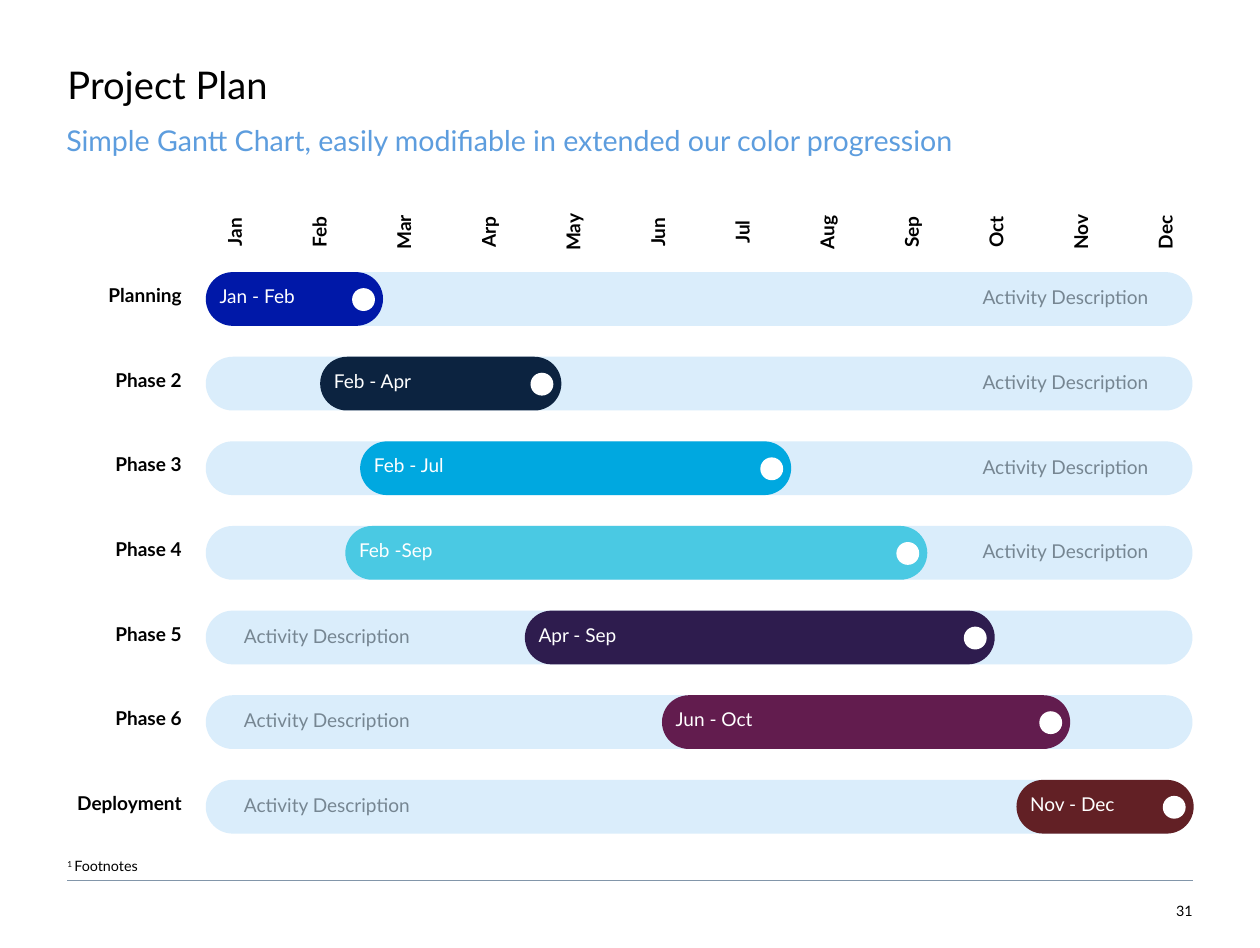
from pptx import Presentation
from pptx.dml.color import RGBColor
from pptx.enum.shapes import MSO_CONNECTOR as Connector, MSO_SHAPE as Shape
from pptx.enum.text import MSO_ANCHOR as Anchor, PP_ALIGN as Align
from pptx.oxml.xmlchemy import OxmlElement
from pptx.util import Inches, Pt

COLORS = {
    "text": "000000", "subtitle": "5D9DDE", "rule": "8296AA",
    "track": "DAEDFB", "description": "768692", "white": "FFFFFF",
    "blue": "0018A8", "navy": "0C2340", "sky": "00A8E0", "aqua": "4AC9E3",
    "violet": "2E1C4E", "plum": "621C4E", "maroon": "622025",
}
MONTHS = ["Jan", "Feb", "Mar", "Arp", "May", "Jun",
          "Jul", "Aug", "Sep", "Oct", "Nov", "Dec"]
# Phase, period, bar left, bar width, color, description left
PHASES = [
    ("Planning", "Jan - Feb", 1.8, 1.55, "blue", 8.29),
    ("Phase 2", "Feb - Apr", 2.8, 2.11, "navy", 8.29),
    ("Phase 3", "Feb - Jul", 3.15, 3.77, "sky", 8.29),
    ("Phase 4", "Feb -Sep", 3.02, 5.09, "aqua", 8.29),
    ("Phase 5", "Apr - Sep", 4.59, 4.11, "violet", 1.83),
    ("Phase 6", "Jun - Oct", 5.79, 3.57, "plum", 1.83),
    ("Deployment", "Nov - Dec", 8.89, 1.55, "maroon", 1.83),
]
TRACK_LEFT, TRACK_WIDTH, BAR_HEIGHT = 1.8, 8.63, 0.47
FIRST_ROW, PITCH = 2.38, 0.74
DOT = 0.2


class GanttSlide:
    """Holds the text style and the slide being built."""

    font_name = "Lato"

    def __init__(self, slide):
        self.slide = slide

    def color(self, name):
        return RGBColor.from_string(COLORS[name])

    def text(self, content, left, top, width, height, size=12, color="text",
             bold=False, align=Align.LEFT, anchor=Anchor.TOP, spacing=1.0,
             rotation=0, superscript=""):
        box = self.slide.shapes.add_textbox(
            Inches(left), Inches(top), Inches(width), Inches(height))
        box.rotation = rotation
        frame_format = {"word_wrap": True, "vertical_anchor": anchor,
                        "margin_left": 0, "margin_top": 0,
                        "margin_right": 0, "margin_bottom": 0}
        for name, value in frame_format.items():
            setattr(box.text_frame, name, value)
        paragraph = box.text_frame.paragraphs[0]
        paragraph.alignment = align
        paragraph.line_spacing = spacing
        font_format = {"name": self.font_name, "size": Pt(size), "bold": bold}
        for part in filter(None, (superscript, content)):
            run = paragraph.add_run()
            run.text = part
            for name, value in font_format.items():
                setattr(run.font, name, value)
            run.font.color.rgb = self.color(color)
        if superscript:
            paragraph.runs[0]._r.get_or_add_rPr().set("baseline", "30000")

    def shape(self, kind, left, top, width, height, color):
        shape = self.slide.shapes.add_shape(
            kind, Inches(left), Inches(top), Inches(width), Inches(height))
        shape.shadow.inherit = False
        shape.fill.solid()
        shape.fill.fore_color.rgb = self.color(color)
        shape.line.fill.background()
        return shape

    def bar(self, left, top, width, color):
        bar = self.shape(Shape.ROUNDED_RECTANGLE, left, top, width,
                         BAR_HEIGHT, color)
        bar.adjustments[0] = 0.5

    def dot(self, left, top):
        self.shape(Shape.OVAL, left, top, DOT, DOT, "white")

    def rule(self, left, right, top):
        line = self.slide.shapes.add_connector(
            Connector.STRAIGHT, Inches(left), Inches(top),
            Inches(right), Inches(top))
        line.line.width = Pt(0.5)
        line.line.color.rgb = self.color("rule")
        line._element.spPr.append(OxmlElement("a:effectLst"))


def main():
    presentation = Presentation()
    presentation.slide_width = Inches(11.02)
    presentation.slide_height = Inches(8.29)
    gantt = GanttSlide(
        presentation.slides.add_slide(presentation.slide_layouts[6]))

    # Heading
    gantt.text("Project Plan", 0.59, 0.58, 8.95, 0.45, size=24, spacing=0.9)
    gantt.text("Simple Gantt Chart, easily modifiable in extended our color "
               "progression", 0.58, 1.11, 9.43, 0.33, size=18,
               color="subtitle", spacing=0.9)

    # Month labels
    for index, month in enumerate(MONTHS):
        gantt.text(month, 1.83 + index * PITCH, 1.91, 0.48, 0.24, bold=True,
                   align=Align.CENTER, rotation=270)

    # Phase rows
    for index, (phase, period, left, width, color, note) in enumerate(PHASES):
        top = FIRST_ROW + index * PITCH
        gantt.text(phase, 0.63, top + 0.1, 0.96, 0.28, bold=True,
                   align=Align.RIGHT)
        gantt.bar(TRACK_LEFT, top, TRACK_WIDTH, "track")
        gantt.bar(left, top, width, color)
        gantt.text(period, left + 0.12, top + 0.11, 1.19, 0.26, color="white")
        gantt.dot(left + width - 0.27, top + 0.14)
        gantt.text("Activity Description", note, top + 0.12, 2.06, 0.24,
                   color="description", align=Align.CENTER)

    # Footer
    gantt.text("Footnotes", 0.59, 7.5, 9.85, 0.2, size=9, superscript="1 ")
    gantt.rule(0.59, 10.43, 7.7)
    gantt.text("31", 9.84, 7.7, 0.59, 0.34, size=9, align=Align.RIGHT,
               anchor=Anchor.BOTTOM)

    presentation.save("out.pptx")


if __name__ == "__main__":
    main()
